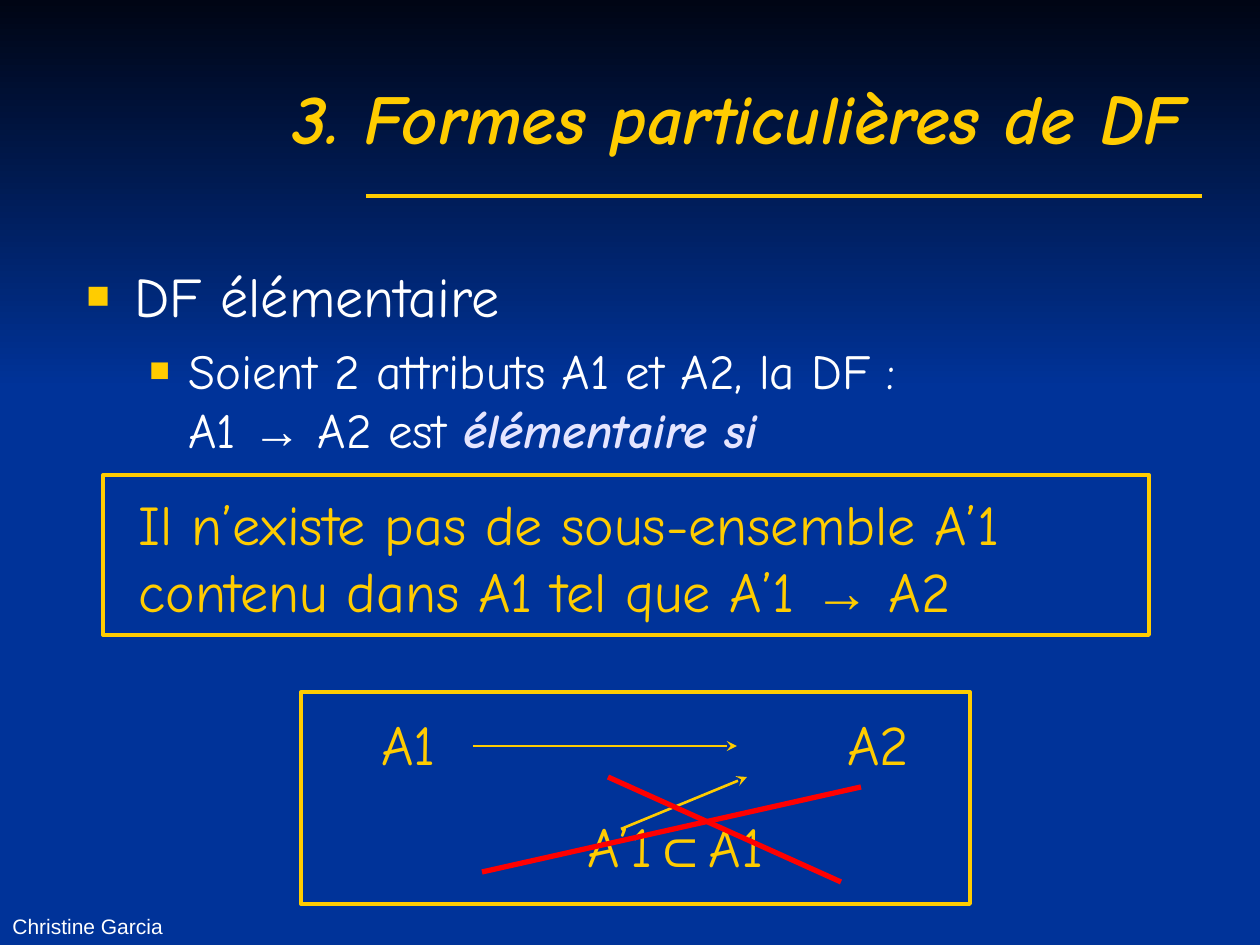
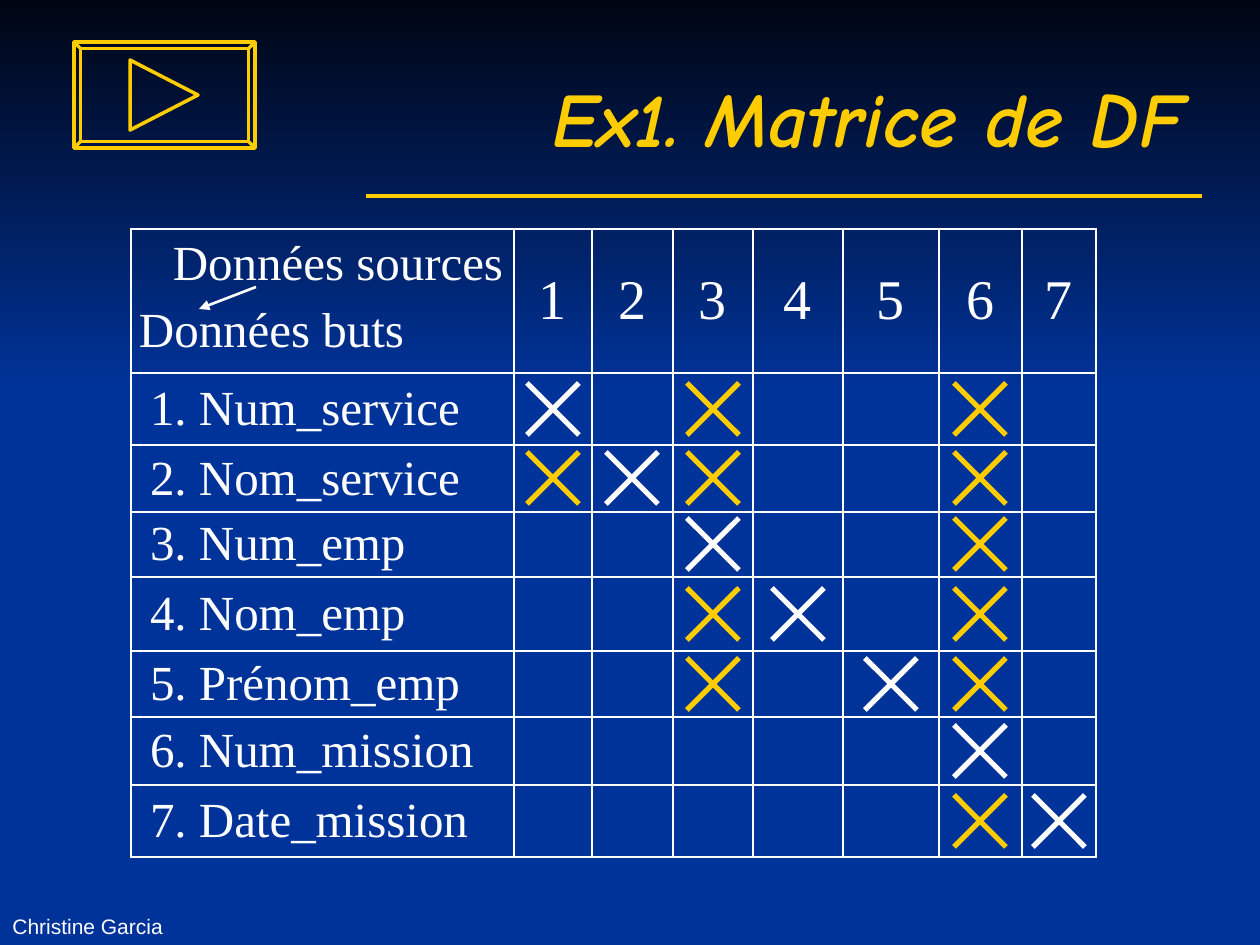
from itertools import groupby, pairwise
from lxml import etree
from pptx import Presentation
from pptx import util as u
from pptx.dml.color import RGBColor
from pptx.enum import shapes, text
from pptx.oxml.ns import qn

PX = 7257  # EMU in one px, 126 px to the inch
GOLD = RGBColor(0xFF, 0xCC, 0x00)
WHITE = RGBColor(0xFF, 0xFF, 0xFF)
LILAC = RGBColor(0xE5, 0xE5, 0xFF)
RED = RGBColor(0xFF, 0x00, 0x00)
BLUE = RGBColor(0x00, 0x33, 0x99)
NIGHT = RGBColor(0x00, 0x05, 0x14)
COMIC, SERIF, SANS = "Comic Neue", "Times New Roman", "Arial"


def write(par, words, size, colour, font=COMIC):
    """Append words to a paragraph, with symbols in Arial; return the last run."""
    for symbol, chars in groupby(words, lambda c: c in "→⊂"):
        run = par.add_run()
        run.text = "".join(chars)
        run.font.name = SANS if symbol else font
        run.font.size = u.Pt(size)
        run.font.color.rgb = colour
    return run


def line(slide, ends, colour, width, head=None):
    link = slide.shapes.add_connector(
        shapes.MSO_CONNECTOR.STRAIGHT, *[v * PX for v in ends])
    link.line.color.rgb = colour
    link.line.width = u.Pt(width)
    props = link.element.spPr
    if head:
        etree.SubElement(props.find(qn("a:ln")), qn("a:tailEnd"), type=head)
    etree.SubElement(props, qn("a:effectLst"))
    return link


deck = Presentation()
deck.slide_width, deck.slide_height = u.Inches(10), u.Inches(7.5)
layout = deck.slide_layouts[5]

# Title and footer of both slides
slides = []
for name, size in [("3. Formes particulières de DF", 40), ("Ex1. Matrice de DF", 44)]:
    slide = deck.slides.add_slide(layout)
    slides.append(slide)
    title = slide.shapes.title
    title.left, title.top, title.width, title.height = [
        v * PX for v in (63, 38, 1134, 157)]
    frame = title.text_frame
    frame.vertical_anchor = text.MSO_ANCHOR.MIDDLE
    par = frame.paragraphs[0]
    par.alignment = text.PP_ALIGN.RIGHT
    run = write(par, name, size, GOLD)
    run.font.bold = run.font.italic = True
    foot = slide.shapes.add_textbox(0, 879 * PX, 400 * PX, 66 * PX).text_frame
    foot.word_wrap = True
    foot.vertical_anchor = text.MSO_ANCHOR.BOTTOM
    write(foot.paragraphs[0], "Christine Garcia", 12, WHITE, SANS)
forms, matrix = slides

# Background, gradient band and title rule live on the layout
layout.background.fill.solid()
layout.background.fill.fore_color.rgb = BLUE
band = forms.shapes.add_shape(
    shapes.MSO_SHAPE.RECTANGLE, 0, 0, deck.slide_width, 389 * PX)
band.shadow.inherit = False
band.line.fill.background()
band.fill.gradient()
band.fill.gradient_angle = 270
for stop, colour in zip(band.fill.gradient_stops, (NIGHT, BLUE)):
    stop.color.rgb = colour
rule = line(forms, (366, 196, 1202, 196), GOLD, 2)
for part in (rule, band):
    layout.shapes.element.insert(2, part.element)

# Slide 1: definition
frames = []
for spot in [(74, 255, 1134, 566), (126, 483, 1029, 147), (369, 703, 651, 183)]:
    frame = forms.shapes.add_textbox(*[v * PX for v in spot]).text_frame
    frame.word_wrap = True
    frames.append(frame)
lead, claim, sketch = frames

top, sub = lead.paragraphs[0], lead.add_paragraph()
sub.level = 1
sub.space_before = u.Pt(7)
for par, left, hang in [(top, 48, 48), (sub, 102, 39)]:
    props = par._p.get_or_add_pPr()
    props.set("marL", str(left * PX))
    props.set("indent", str(-hang * PX))
    tint = etree.SubElement(props, qn("a:buClr"))
    etree.SubElement(tint, qn("a:srgbClr"), val=str(GOLD))
    etree.SubElement(props, qn("a:buSzPct"), val="70000")
    etree.SubElement(props, qn("a:buFont"), typeface=SANS)
    etree.SubElement(props, qn("a:buChar"), char="■")
write(top, "DF élémentaire", 32, WHITE)
write(sub, "Soient 2 attributs A1 et A2, la DF :", 28, WHITE)
sub.add_line_break()
write(sub, "A1 → A2 est ", 28, WHITE)
run = write(sub, "élémentaire si", 28, LILAC)
run.font.bold = run.font.italic = True

write(claim.paragraphs[0],
      "Il n’existe pas de sous-ensemble A’1 contenu dans A1 tel que A’1 → A2", 32, GOLD)

# Slide 1: crossed-out dependency
pair, subset = sketch.paragraphs[0], sketch.add_paragraph()
tabs = etree.SubElement(pair._p.get_or_add_pPr(), qn("a:tabLst"))
etree.SubElement(tabs, qn("a:tab"), pos=str(466 * PX), algn="l")
write(pair, "A1\tA2", 32, GOLD)
subset._p.get_or_add_pPr().set("marL", str(206 * PX))
subset.space_before = u.Pt(20)
write(subset, "A’1⊂A1", 32, GOLD)
for ends in [(473, 746, 737, 746), (621, 829, 747, 777)]:
    line(forms, ends, GOLD, 1.5, "stealth")
for ends in [(608, 777, 841, 882), (861, 787, 482, 872)]:
    line(forms, ends, RED, 3)
for spot in [(103, 475, 1046, 160), (301, 692, 669, 212)]:
    edge = forms.shapes.add_shape(
        shapes.MSO_SHAPE.RECTANGLE, *[v * PX for v in spot])
    edge.shadow.inherit = False
    edge.fill.background()
    edge.line.color.rgb = GOLD
    edge.line.width = u.Pt(2.25)

# Slide 2: dependency matrix
XS = [131, 514, 592, 673, 753, 843, 939, 1022, 1096]
YS = [229, 373, 445, 512, 577, 651, 717, 785, 857]
LABELS = ["Num_service", "Nom_service", "Num_emp", "Nom_emp",
          "Prénom_emp", "Num_mission", "Date_mission"]
SOURCES = [(3, 6), (1, 3, 6), (6,), (3, 6), (3, 6), (), (6,)]

grid = matrix.shapes.add_table(
    8, 8, XS[0] * PX, YS[0] * PX, (XS[-1] - XS[0]) * PX, (YS[-1] - YS[0]) * PX).table
grid.first_row = grid.horz_banding = False
for col, (a, b) in zip(grid.columns, pairwise(XS)):
    col.width = (b - a) * PX
for row, (a, b) in zip(grid.rows, pairwise(YS)):
    row.height = (b - a) * PX
for cell in grid.iter_cells():
    cell.margin_left = cell.margin_right = cell.margin_top = cell.margin_bottom = 0
    cell.vertical_anchor = text.MSO_ANCHOR.MIDDLE
    props = cell._tc.get_or_add_tcPr()
    for side in ("a:lnL", "a:lnR", "a:lnT", "a:lnB"):
        edge = etree.SubElement(props, qn(side), w=str(u.Pt(1.5)))
        fill = etree.SubElement(edge, qn("a:solidFill"))
        etree.SubElement(fill, qn("a:srgbClr"), val=str(WHITE))
    cell.fill.background()

head = grid.cell(0, 0)
head.margin_left, head.margin_right, head.margin_top = 8 * PX, 11 * PX, 8 * PX
head.vertical_anchor = text.MSO_ANCHOR.TOP
source, goal = head.text_frame.paragraphs[0], head.text_frame.add_paragraph()
source.alignment = text.PP_ALIGN.RIGHT
goal.space_before = u.Pt(7)
write(source, "Données sources", 28, WHITE, SERIF)
write(goal, "Données buts", 28, WHITE, SERIF)
line(matrix, (256, 287, 199, 309), WHITE, 1.5, "triangle")

for n, (label, marks) in enumerate(zip(LABELS, SOURCES), 1):
    par = grid.cell(0, n).text_frame.paragraphs[0]
    par.alignment = text.PP_ALIGN.CENTER
    write(par, str(n), 32, WHITE, SERIF)
    cell = grid.cell(n, 0)
    cell.margin_left = 19 * PX
    write(cell.text_frame.paragraphs[0], f"{n}. {label}", 28, WHITE, SERIF)
    y = (YS[n] + YS[n + 1]) // 2
    for col in (n, *marks):
        x = (XS[col] + XS[col + 1]) // 2
        colour = WHITE if col == n else GOLD
        for rise in (26, -26):
            line(matrix, (x - 26, y - rise, x + 26, y + rise), colour, 3)

# Slide 2: play button
frame = matrix.shapes.add_shape(
    shapes.MSO_SHAPE.BEVEL, 74 * PX, 42 * PX, 181 * PX, 106 * PX)
frame.adjustments[0] = 0.06
path = matrix.shapes.build_freeform(130, 60, PX)
path.add_line_segments([(198, 95), (130, 130)], close=True)
for part in (frame, path.convert_to_shape()):
    part.shadow.inherit = False
    part.fill.background()
    part.line.color.rgb = GOLD
    part.line.width = u.Pt(2)

deck.save("out.pptx")
